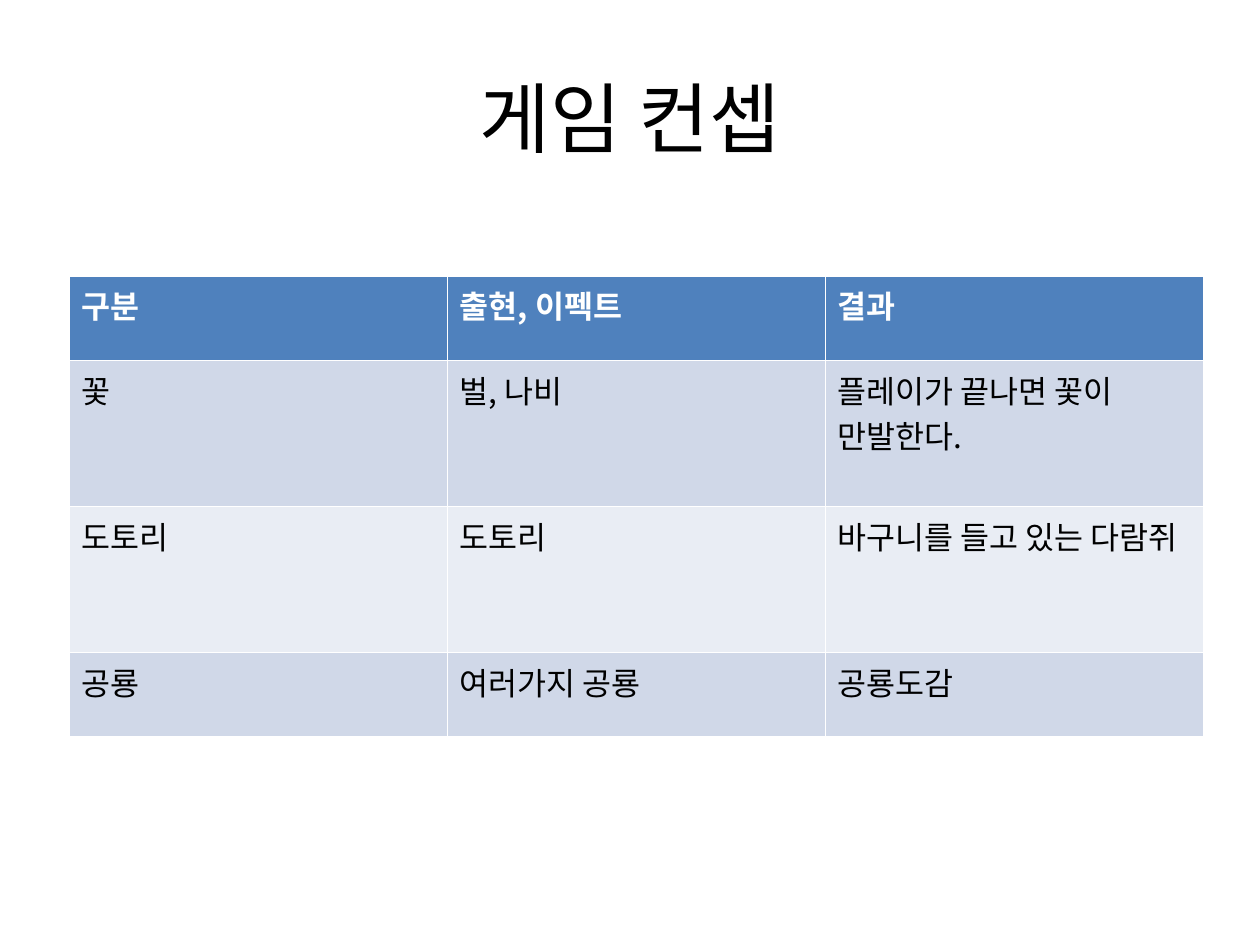
"""Build the game concept slide: a title above a three-column table."""
from lxml.etree import SubElement
from pptx import Presentation
from pptx.dml.color import RGBColor
from pptx.enum.text import MSO_ANCHOR, PP_ALIGN
from pptx.oxml.ns import qn
from pptx.util import Inches, Pt

FONT = "Noto Sans CJK KR"
COLORS = {
    "header": "4F81BD",
    "odd_row": "D0D8E8",
    "even_row": "E9EDF4",
    "white": "FFFFFF",
    "black": "000000",
}
ROWS = [
    ("구분", "출현, 이펙트", "결과"),
    ("꽃", "벌, 나비", "플레이가 끝나면 꽃이 만발한다."),
    ("도토리", "도토리", "바구니를 들고 있는 다람쥐"),
    ("공룡", "여러가지 공룡", "공룡도감"),
]
ROW_HEIGHTS = [0.67, 1.16, 1.16, 0.67]
ROW_FILLS = ["header", "odd_row", "even_row", "odd_row"]


def write_text(frame, text, size=18, color="black", bold=False, align=PP_ALIGN.LEFT):
    para = frame.paragraphs[0]
    para.alignment = align
    span = para.add_run()
    span.text = text
    span.font.size = Pt(size)
    span.font.bold = bold
    span.font.color.rgb = RGBColor.from_string(COLORS[color])
    span.font.name = FONT
    SubElement(span.font._element, qn("a:ea"), typeface=FONT)


deck = Presentation()
deck.slide_width, deck.slide_height = Inches(10), Inches(7.5)
page = deck.slides.add_slide(deck.slide_layouts[5])

title = page.shapes.title
title.left, title.top = Inches(0.5), Inches(0.3)
title.width, title.height = Inches(9), Inches(1.25)
title.text_frame.vertical_anchor = MSO_ANCHOR.MIDDLE
write_text(title.text_frame, "게임 컨셉", size=44, align=PP_ALIGN.CENTER)

table = page.shapes.add_table(
    len(ROWS), len(ROWS[0]), Inches(0.55), Inches(2.19), Inches(9), Inches(sum(ROW_HEIGHTS))
).table
for row_index, (texts, height, fill) in enumerate(zip(ROWS, ROW_HEIGHTS, ROW_FILLS)):
    table.rows[row_index].height = Inches(height)
    is_header = fill == "header"
    for column_index, text in enumerate(texts):
        cell = table.cell(row_index, column_index)
        cell.fill.solid()
        cell.fill.fore_color.rgb = RGBColor.from_string(COLORS[fill])
        write_text(cell.text_frame, text, color="white" if is_header else "black", bold=is_header)

deck.save("out.pptx")
